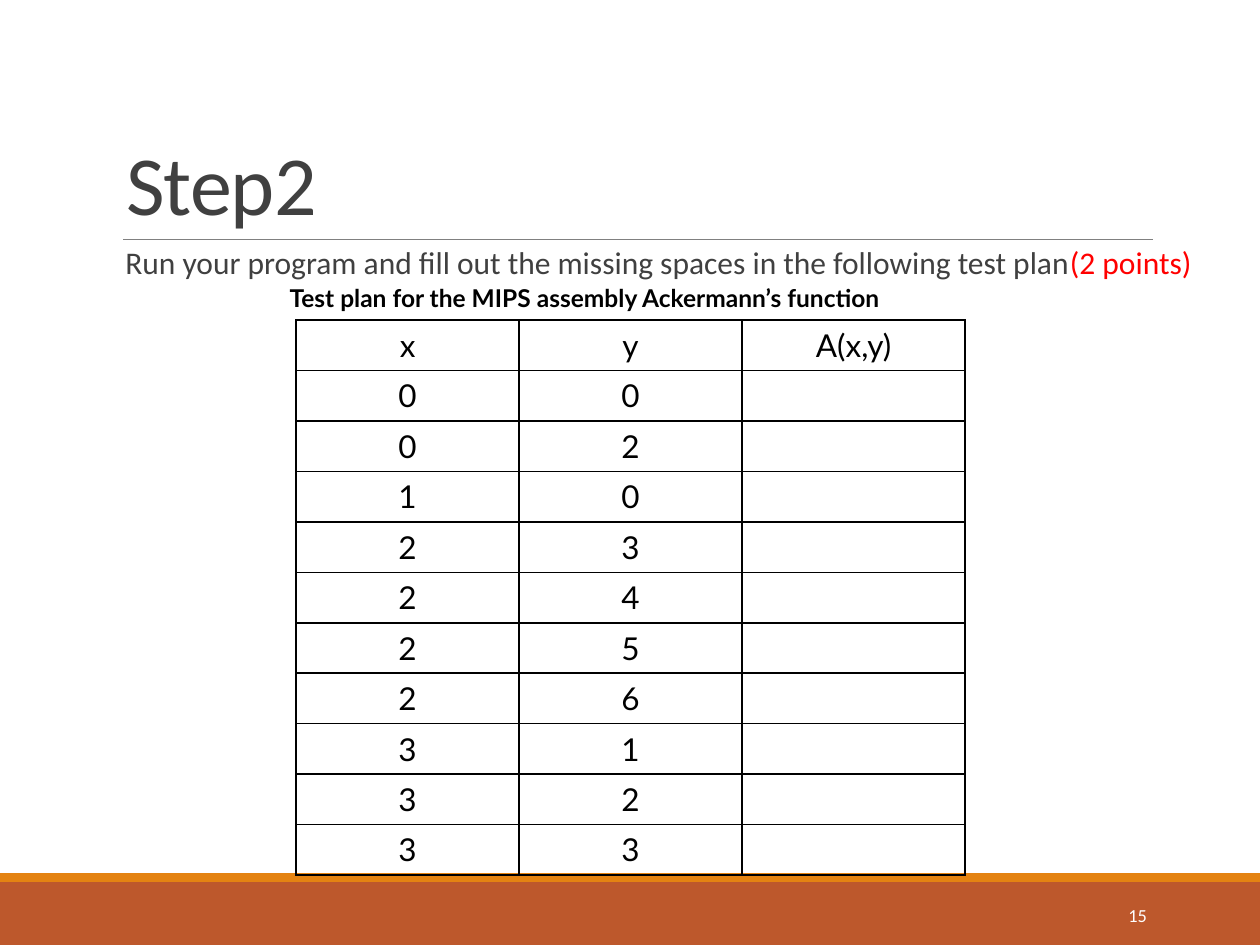
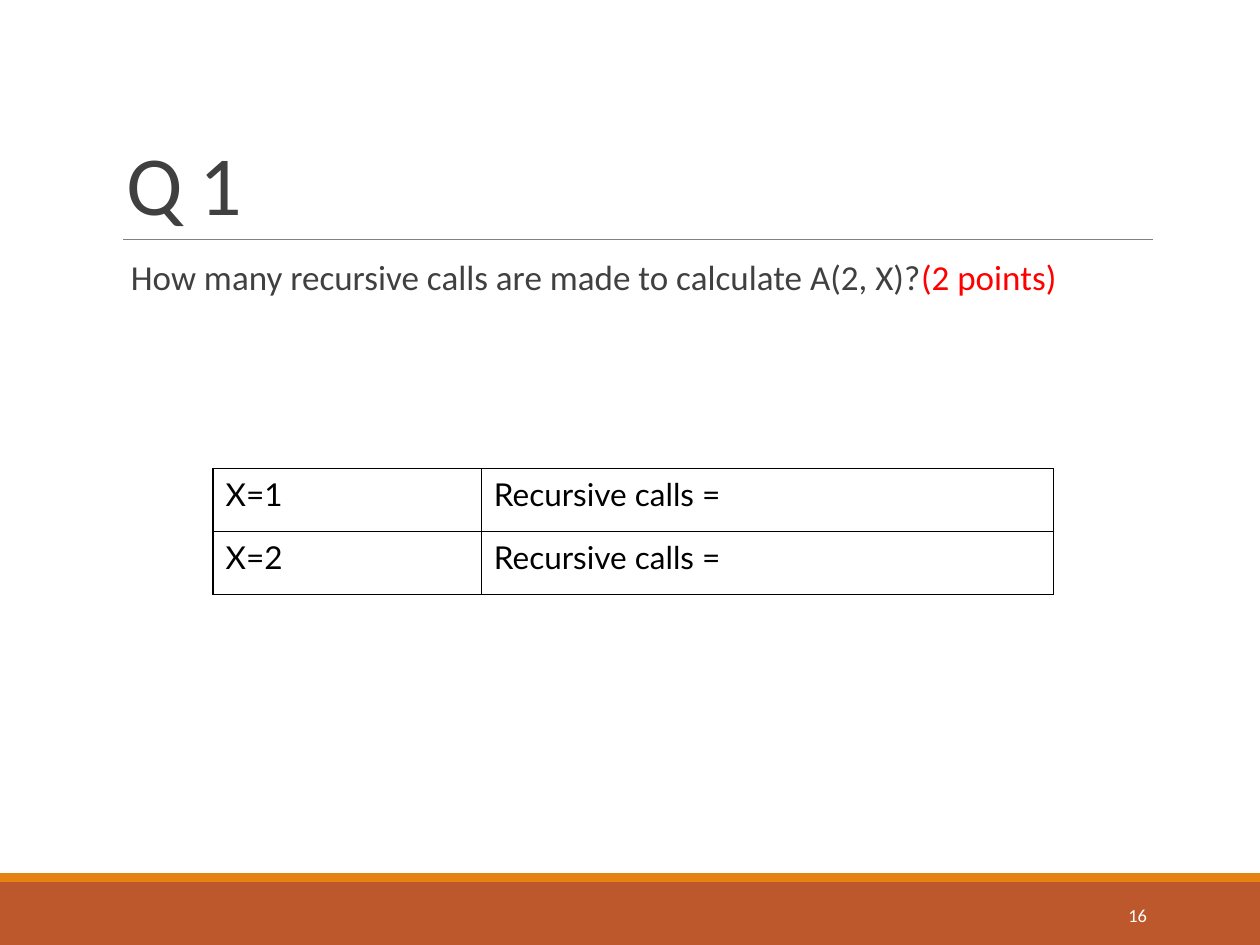
from lxml.etree import SubElement
from pptx import Presentation
from pptx.dml.color import RGBColor
from pptx.enum.shapes import MSO_CONNECTOR, MSO_SHAPE
from pptx.enum.text import MSO_ANCHOR, MSO_AUTO_SIZE, PP_ALIGN
from pptx.oxml import parse_xml
from pptx.oxml.ns import nsdecls, qn
from pptx.util import Inches, Pt

RUST = RGBColor(0xBD, 0x58, 0x2C)
ORANGE = RGBColor(0xE4, 0x83, 0x12)
RULE_GREY = RGBColor(0x80, 0x80, 0x80)
TEXT_GREY = RGBColor(0x40, 0x40, 0x40)
RED = RGBColor(0xFF, 0, 0)
BLACK = RGBColor(0, 0, 0)
WHITE = RGBColor(0xFF, 0xFF, 0xFF)
HEADING_FONT = "Calibri"
TABLE_FONT = "Lato"
TITLE_BOX = (0.9, 0.31, 8.25, 1.59)
NUMBER_BOX = (8.12, 7.06, 1.08, 0.4)
BANDS = [((0, 7, 10, 0.5), RUST), ((0, 6.93, 10, 0.07), ORANGE)]


def inches(box):
    return [Inches(length) for length in box]


def style_run(run, size, color, font=HEADING_FONT, bold=False):
    run.font.size = Pt(size)
    run.font.name = font
    run.font.bold = bold
    run.font.color.rgb = color


def add_text(slide, box, text, size, color, font=HEADING_FONT, bold=False):
    frame = slide.shapes.add_textbox(*inches(box)).text_frame
    frame.word_wrap = True
    frame.text = text
    style_run(frame.paragraphs[0].runs[0], size, color, font, bold)
    return frame


def add_title(slide, box, text):
    title = slide.shapes.title
    title.left, title.top, title.width, title.height = inches(box)
    frame = title.text_frame
    frame.text = text
    frame.auto_size = MSO_AUTO_SIZE.NONE
    frame.vertical_anchor = MSO_ANCHOR.BOTTOM
    heading = frame.paragraphs[0]
    heading.alignment = PP_ALIGN.LEFT
    heading.line_spacing = 0.85
    style_run(heading.runs[0], 48, TEXT_GREY)
    heading.runs[0].font._element.set("spc", "-50")


def add_bands(slide):
    for box, color in BANDS:
        band = slide.shapes.add_shape(MSO_SHAPE.RECTANGLE, *inches(box))
        band.shadow.inherit = False
        band.fill.solid()
        band.fill.fore_color.rgb = color
        band.line.fill.background()


def add_title_rule(slide):
    rule = slide.shapes.add_connector(
        MSO_CONNECTOR.STRAIGHT, *inches((0.98, 1.9, 9.15, 1.9)))
    rule.line.color.rgb = RULE_GREY
    rule.line.width = Pt(0.5)
    SubElement(rule._element.spPr, qn("a:effectLst"))


def add_slide(deck, title, number):
    slide = deck.slides.add_slide(deck.slide_layouts.get_by_name("Title Only"))
    add_bands(slide)
    add_title_rule(slide)
    add_title(slide, TITLE_BOX, title)
    page = add_text(slide, NUMBER_BOX, str(number), 10.5, WHITE)
    page.vertical_anchor = MSO_ANCHOR.MIDDLE
    page.paragraphs[0].alignment = PP_ALIGN.RIGHT
    return slide


def add_task(slide, box, task, points, size):
    frame = add_text(slide, box, task, size, TEXT_GREY)
    frame.margin_left = frame.margin_right = 0
    line = frame.paragraphs[0]
    line.line_spacing = 0.9
    line.space_before = Pt(12)
    line.space_after = Pt(2)
    score = line.add_run()
    score.text = points
    style_run(score, size, RED)
    properties = line._p.get_or_add_pPr()
    properties.set("marL", str(Inches(0.1)))
    properties.set("indent", str(Inches(-0.1)))
    bullet_color = SubElement(properties, qn("a:buClr"))
    SubElement(bullet_color, qn("a:srgbClr"), val=str(ORANGE))
    SubElement(properties, qn("a:buChar"), char=" ")


def set_borders(cell):
    for position, side in enumerate(("lnL", "lnR", "lnT", "lnB")):
        border = parse_xml(
            f'<a:{side} {nsdecls("a")} w="{Pt(1)}"><a:solidFill>'
            f'<a:srgbClr val="{BLACK}"/></a:solidFill></a:{side}>')
        cell._tc.get_or_add_tcPr().insert(position, border)


def add_grid(slide, box, rows, widths, alignment):
    table = slide.shapes.add_table(
        len(rows), len(widths), *inches(box)).table
    table.first_row = table.horz_banding = False
    for column, width in zip(table.columns, widths):
        column.width = Inches(width)
    for r, values in enumerate(rows):
        for c, value in enumerate(values):
            cell = table.cell(r, c)
            cell.fill.background()
            set_borders(cell)
            cell.text = value
            entry = cell.text_frame.paragraphs[0]
            entry.alignment = alignment
            for run in entry.runs:
                style_run(run, 18, BLACK, TABLE_FONT)


def build_test_plan(deck):
    slide = add_slide(deck, "Step2", 15)
    add_task(slide, (0.87, 1.91, 8.96, 4.4),
             "Run your program and fill out the missing spaces in the "
             "following test plan", "(2 points)", 18)
    inputs = ["00", "02", "10", "23", "24", "25", "26", "31", "32", "33"]
    rows = [("x", "y", "A(x,y)")] + [(x, y, "") for x, y in inputs]
    add_grid(slide, (2.35, 2.54, 5.31, 4.4), rows, [1.77] * 3,
             PP_ALIGN.CENTER)
    add_text(slide, (2.2, 2.2, 5.6, 0.34),
             "Test plan for the MIPS assembly Ackermann’s function",
             14, BLACK, TABLE_FONT, bold=True)


def build_question(deck):
    slide = add_slide(deck, "Q 1", 16)
    add_task(slide, (0.9, 2.02, 8.25, 4.4),
             "How many recursive calls are made to calculate A(2, X)?",
             "(2 points)", 20)
    rows = [(f"X={x}", "Recursive calls =") for x in (1, 2)]
    add_grid(slide, (1.69, 3.72, 6.67, 1), rows, [2.13, 4.54],
             PP_ALIGN.LEFT)


deck = Presentation()
deck.slide_width, deck.slide_height = Inches(10), Inches(7.5)
build_test_plan(deck)
build_question(deck)
deck.save("out.pptx")
